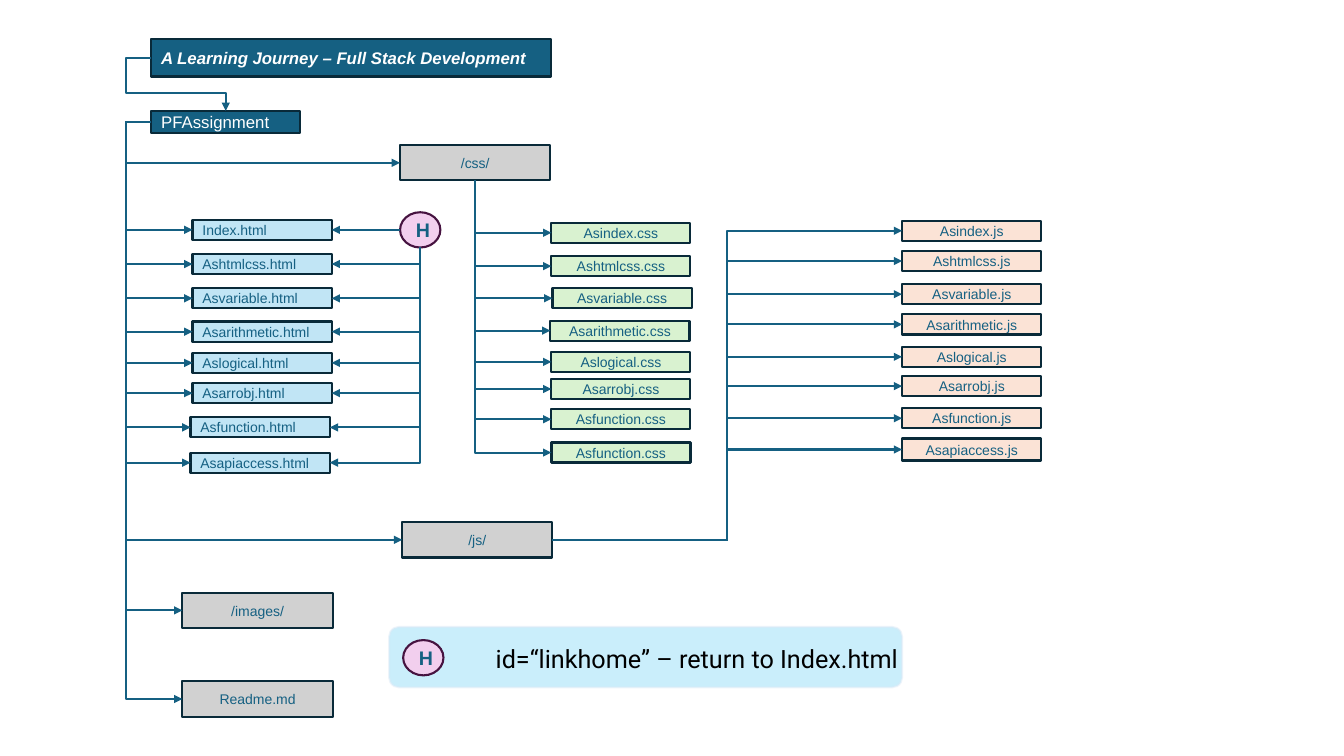
from lxml.etree import SubElement
from pptx import Presentation
from pptx.dml.color import RGBColor
from pptx.enum.shapes import MSO_CONNECTOR, MSO_SHAPE
from pptx.enum.text import MSO_ANCHOR, MSO_AUTO_SIZE, PP_ALIGN
from pptx.oxml.ns import qn
from pptx.util import Pt

TEAL, NAVY, WHITE, GREY = "156082", "092A39", "FFFFFF", "D1D1D1"
BLUE, GREEN, PEACH = "C1E5F5", "D9F2D0", "FBE3D6"
PINK, PLUM = "F2CFEE", "461340"
TOP, LEFT, BOTTOM, RIGHT = range(4)
FILE_WIDTH, FILE_HEIGHT = 99.4, 14.4
FOLDER_WIDTH, FOLDER_HEIGHT = 107.3, 25.2
ROOT_TRUNK = 90

STEMS = ["Asindex", "Ashtmlcss", "Asvariable", "Asarithmetic",
         "Aslogical", "Asarrobj", "Asfunction", "Asapiaccess"]
HTML_NAMES = ["Index"] + STEMS[1:]
CSS_NAMES = STEMS[:7] + ["Asfunction"]
HTML_LEFTS = [137.5] * 6 + [136.1] * 2
CSS_LEFTS = [393.8, 393.8, 394.6, 393.1] + [393.8] * 4
JS_LEFTS = [644.4] * 8
HTML_TOPS = [157, 181.4, 205.9, 229.7, 252, 273.6, 298.1, 323.3]
CSS_TOPS = [159.1, 182.9, 205.9, 229, 251.3, 270.7, 292.3, 316.1]
JS_TOPS = [157.7, 179.3, 203, 224.6, 247.7, 268.6, 291.6, 313.2]


def color(value):
    return RGBColor.from_string(value)


class SiteMap:
    def __init__(self, slide):
        self.slide = slide
        self.shapes = slide.shapes

    def label(self, frame, text, ink, align=PP_ALIGN.LEFT, **font):
        paragraph = frame.paragraphs[0]
        paragraph.alignment = align
        run = paragraph.add_run()
        run.text = text
        values = {"name": "Arial", "size": Pt(10)} | font
        for name, value in values.items():
            setattr(run.font, name, value)
        run.font.color.rgb = color(ink)

    def box(self, kind, left, top, width, height, fill, line=NAVY, weight=1.5):
        shape = self.shapes.add_shape(kind, Pt(left), Pt(top), Pt(width), Pt(height))
        shape.shadow.inherit = False
        shape.fill.solid()
        shape.fill.fore_color.rgb = color(fill)
        shape.line.color.rgb = color(line)
        shape.line.width = Pt(weight)
        shape.text_frame.vertical_anchor = MSO_ANCHOR.MIDDLE
        return shape

    def heading(self, text, top, width, height, **font):
        shape = self.box(MSO_SHAPE.RECTANGLE, 108, top, width, height, TEAL)
        self.label(shape.text_frame, text, WHITE, size=Pt(12), **font)
        return shape

    def folder(self, text, left, top):
        shape = self.box(MSO_SHAPE.RECTANGLE, left, top, FOLDER_WIDTH, FOLDER_HEIGHT, GREY)
        self.label(shape.text_frame, text, TEAL, PP_ALIGN.CENTER)
        return shape

    def files(self, names, extension, lefts, tops, fill, align=PP_ALIGN.CENTER):
        """Draw one column of file boxes and return them from top to bottom."""
        column = []
        for name, left, top in zip(names, lefts, tops):
            shape = self.box(MSO_SHAPE.RECTANGLE, left, top, FILE_WIDTH, FILE_HEIGHT, fill)
            if align == PP_ALIGN.CENTER:
                for side in ("left", "top", "right", "bottom"):
                    setattr(shape.text_frame, f"margin_{side}", Pt(5.8))
            self.label(shape.text_frame, f"{name}.{extension}", TEAL, align)
            column.append(shape)
        return column

    def home_badge(self, left, top):
        shape = self.box(MSO_SHAPE.OVAL, left, top, 28.8, 25.2, PINK, PLUM)
        self.label(shape.text_frame, "H", TEAL, PP_ALIGN.CENTER, size=Pt(14), bold=True)
        return shape

    def arrow(self, start, start_side, end, end_side, kind=MSO_CONNECTOR.ELBOW):
        connector = self.shapes.add_connector(kind, 0, 0, 0, 0)
        connector.begin_connect(start, start_side)
        connector.end_connect(end, end_side)
        if start.auto_shape_type == MSO_SHAPE.OVAL:
            # An ellipse has eight connection sites, a rectangle four
            connector._element.nvCxnSpPr.cNvCxnSpPr.stCxn.idx = start_side * 2
        connector.line.color.rgb = color(TEAL)
        connector.line.width = Pt(1.5)
        SubElement(connector.line._get_or_add_ln(), qn("a:tailEnd"), type="triangle")
        SubElement(connector._element.spPr, qn("a:effectLst"))
        return connector

    def bend(self, connector, preset, *adjustments):
        geometry = connector._element.spPr.find(qn("a:prstGeom"))
        geometry.set("prst", preset)
        guides = geometry.find(qn("a:avLst"))
        for number, value in enumerate(adjustments, 1):
            SubElement(guides, qn("a:gd"), name=f"adj{number}",
                       fmla=f"val {round(value * 100000)}")

    def root_branch(self, start, end):
        """Leave the start to the left, follow the trunk and enter the end from the left."""
        connector = self.arrow(start, LEFT, end, LEFT)
        share = (Pt(ROOT_TRUNK) - connector.begin_x) / connector.width
        self.bend(connector, "bentConnector3", share)

    def drop(self, start, end, end_side):
        """Go straight down from the start, then turn once into the end's side."""
        connector = self.arrow(start, BOTTOM, end, end_side)
        self.bend(connector, "bentConnector2")
        across, down = connector.width, connector.height
        shift = (across - down) // 2
        rightward = end_side == LEFT
        frame = connector._element.spPr.xfrm
        frame.rot = 270 if rightward else 90
        frame.flipH = rightward
        connector.left, connector.top = connector.left + shift, connector.top - shift
        connector.width, connector.height = down, across

    def legend(self):
        self.shapes = self.slide.shapes.add_group_shape().shapes
        panel = self.box(MSO_SHAPE.ROUNDED_RECTANGLE, 277.9, 447.8, 366.5, 43.2,
                         "CAEEFB", "DCEAF7")
        line_color = panel.line._get_or_add_ln().find(".//" + qn("a:srgbClr"))
        SubElement(line_color, qn("a:alpha"), val="50000")
        self.home_badge(288, 457.2)
        note = self.shapes.add_textbox(Pt(347), Pt(455.8), Pt(305.3), Pt(28.8))
        note.text_frame.word_wrap = True
        note.text_frame.auto_size = MSO_AUTO_SIZE.SHAPE_TO_FIT_TEXT
        self.label(note.text_frame, "id=“linkhome” – return to Index.html", "000000",
                   name="Roboto", size=Pt(18))
        self.shapes = self.slide.shapes


def main():
    presentation = Presentation()
    presentation.slide_width, presentation.slide_height = Pt(960), Pt(540)
    site = SiteMap(presentation.slides.add_slide(presentation.slide_layouts[6]))

    title = site.heading("A Learning Journey – Full Stack Development", 28.1, 285.8, 26.6,
                         bold=True, italic=True)
    root = site.heading("PFAssignment", 79.2, 106.6, 15.8)
    css = site.folder("/css/", 285.8, 103.7)
    js = site.folder("/js/", 287.3, 373)
    images = site.folder("/images/", 130.3, 423.4)
    readme = site.folder("Readme.md", 130.3, 486.7)
    home = site.home_badge(285.8, 151.6)

    html_files = site.files(HTML_NAMES, "html", HTML_LEFTS, HTML_TOPS, BLUE, PP_ALIGN.LEFT)
    css_files = site.files(CSS_NAMES, "css", CSS_LEFTS, CSS_TOPS, GREEN)
    js_files = site.files(STEMS, "js", JS_LEFTS, JS_TOPS, PEACH)
    css_files[-1].line.width = Pt(2)
    js_files[-1].height = Pt(15.8)

    title_link = site.arrow(title, LEFT, root, TOP)
    site.bend(title_link, "bentConnector4", -0.34, 0.67)
    for target in [css, *html_files, js, images, readme]:
        site.root_branch(root, target)
    for target in css_files:
        site.drop(css, target, LEFT)
    for target in js_files:
        site.arrow(js, RIGHT, target, LEFT)
    site.arrow(home, LEFT, html_files[0], RIGHT, MSO_CONNECTOR.STRAIGHT)
    for target in html_files[1:]:
        site.drop(home, target, RIGHT)
    site.legend()

    presentation.save("out.pptx")


if __name__ == "__main__":
    main()
